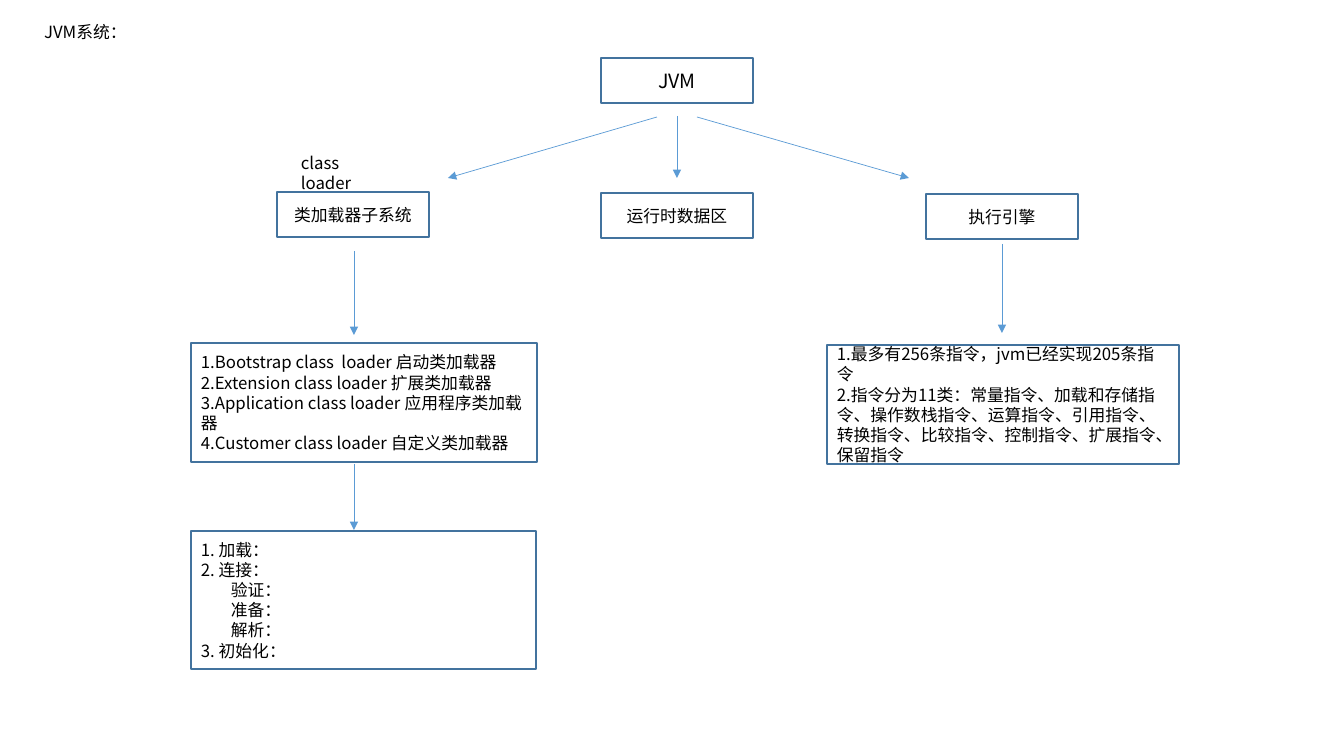
from dataclasses import dataclass

from lxml import etree
from pptx import Presentation
from pptx.dml.color import RGBColor
from pptx.enum.shapes import MSO_CONNECTOR, MSO_SHAPE
from pptx.enum.text import MSO_ANCHOR, MSO_AUTO_SIZE, PP_ALIGN
from pptx.oxml.ns import qn
from pptx.util import Pt

RECTANGLE = MSO_SHAPE.RECTANGLE
STRAIGHT = MSO_CONNECTOR.STRAIGHT
LEFT, CENTER = PP_ALIGN.LEFT, PP_ALIGN.CENTER
TOP, MIDDLE = MSO_ANCHOR.TOP, MSO_ANCHOR.MIDDLE
NO_AUTOSIZE = MSO_AUTO_SIZE.NONE
EMU_PER_PX = 914400 / 100.8
TITLE_ONLY = 5


@dataclass(frozen=True)
class Theme:
    font: str = "Noto Sans CJK SC"
    ink: RGBColor = RGBColor(0x00, 0x00, 0x00)
    border: RGBColor = RGBColor(0x43, 0x73, 0x9E)
    arrow: RGBColor = RGBColor(0x5B, 0x9B, 0xD5)
    body_size: int = 12
    root_size: int = 14
    border_width: float = 1
    arrow_width: float = 0.5
    line_spacing: float = 1.2


def px(*lengths):
    return [round(length * EMU_PER_PX) for length in lengths]


class Diagram:
    def __init__(self, page, theme):
        self.page = page
        self.theme = theme

    def set_text(self, shape, text, align=LEFT, anchor=MIDDLE, size=None, wrap=True):
        size = size or self.theme.body_size
        frame = shape.text_frame
        frame.text = text
        frame.word_wrap = wrap
        frame.auto_size = NO_AUTOSIZE
        frame.vertical_anchor = anchor
        for para in frame.paragraphs:
            para.alignment = align
            para.line_spacing = Pt(size * self.theme.line_spacing)
            for span in para.runs:
                span.font.size = Pt(size)
                span.font.name = self.theme.font
                span.font.color.rgb = self.theme.ink
                east_asian = etree.SubElement(span.font._element, qn("a:ea"))
                east_asian.set("typeface", self.theme.font)

    def title(self, text, bounds):
        title = self.page.shapes.title
        title.left, title.top, title.width, title.height = px(*bounds)
        self.set_text(title, text, anchor=TOP, wrap=False)

    def label(self, text, bounds):
        self.set_text(self.page.shapes.add_textbox(*px(*bounds)), text, anchor=TOP)

    def box(self, text, bounds, align=LEFT, size=None):
        box = self.page.shapes.add_shape(RECTANGLE, *px(*bounds))
        box.shadow.inherit = False
        box.fill.background()
        box.line.color.rgb = self.theme.border
        box.line.width = Pt(self.theme.border_width)
        self.set_text(box, text, align, size=size)
        return box

    def node(self, text, left, top, size=None):
        self.box(text, (left, top, 152, 45), CENTER, size)

    def indent(self, box, rows, distance):
        for row in rows:
            properties = box.text_frame.paragraphs[row]._p.get_or_add_pPr()
            properties.set("marL", str(px(distance)[0]))

    def arrow(self, *ends):
        arrow = self.page.shapes.add_connector(STRAIGHT, *px(*ends))
        arrow.line.color.rgb = self.theme.arrow
        arrow.line.width = Pt(self.theme.arrow_width)
        properties = arrow._element.spPr
        tail = etree.SubElement(properties.get_or_add_ln(), qn("a:tailEnd"))
        tail.set("type", "triangle")
        etree.SubElement(properties, qn("a:effectLst"))


def main():
    deck = Presentation()
    deck.slide_width, deck.slide_height = px(1344, 756)
    theme = Theme()
    diagram = Diagram(deck.slides.add_slide(deck.slide_layouts[TITLE_ONLY]), theme)

    diagram.title("JVM系统：", (34, 17, 102, 30))
    diagram.node("JVM", 601, 58, theme.root_size)
    for text, left, top in (
        ("类加载器子系统", 277, 192),
        ("运行时数据区", 601, 193),
        ("执行引擎", 926, 194),
    ):
        diagram.node(text, left, top)
    diagram.label("class loader", (291, 148, 105, 30))

    diagram.box(
        "1.Bootstrap class  loader 启动类加载器\n"
        "2.Extension class loader 扩展类加载器\n"
        "3.Application class loader 应用程序类加载器\n"
        "4.Customer class loader 自定义类加载器",
        (191, 343, 346, 119),
    )
    phases = diagram.box(
        "1. 加载：\n2. 连接：\n验证：\n准备：\n解析：\n3. 初始化：",
        (191, 531, 345, 138),
    )
    diagram.indent(phases, range(2, 5), 30)
    diagram.box(
        "1.最多有256条指令，jvm已经实现205条指令\n"
        "2.指令分为11类：常量指令、加载和存储指令、操作数栈指令、运算指令、"
        "引用指令、转换指令、比较指令、控制指令、扩展指令、保留指令",
        (827, 345, 352, 119),
    )

    for ends in (
        (677, 116, 677, 178),
        (657, 117, 448, 178),
        (697, 117, 909, 178),
        (354, 251, 354, 335),
        (354, 464, 354, 530),
        (1002, 244, 1002, 333),
    ):
        diagram.arrow(*ends)

    deck.save("out.pptx")


if __name__ == "__main__":
    main()
